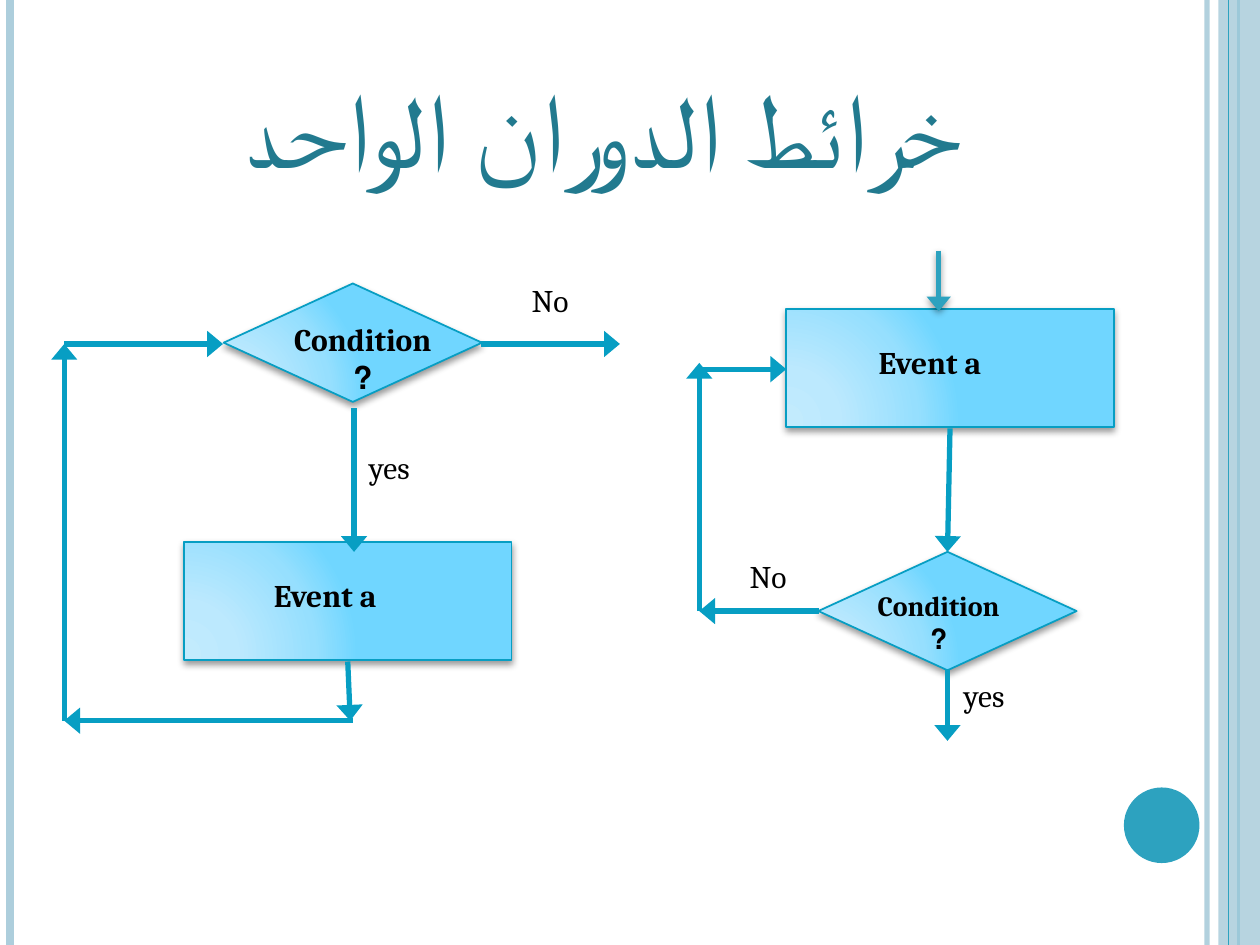
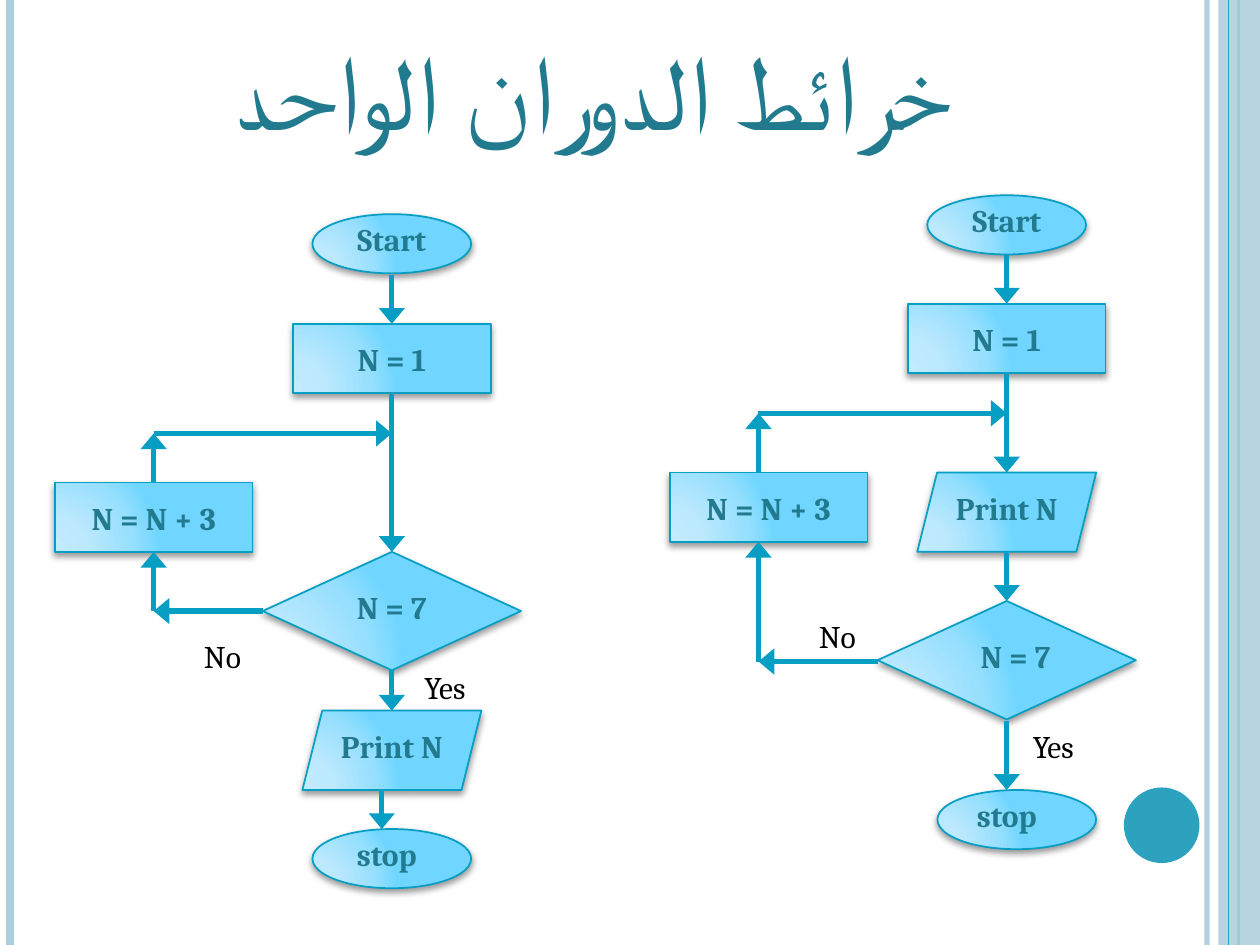
from dataclasses import dataclass

from pptx import Presentation
from pptx.dml.color import RGBColor
from pptx.enum.shapes import MSO_CONNECTOR, MSO_SHAPE
from pptx.enum.text import MSO_ANCHOR, PP_ALIGN
from pptx.oxml import parse_xml
from pptx.oxml.ns import nsdecls, qn
from pptx.oxml.xmlchemy import OxmlElement
from pptx.util import Inches, Pt

STRAIGHT = MSO_CONNECTOR.STRAIGHT
RECTANGLE, ELLIPSE = MSO_SHAPE.RECTANGLE, MSO_SHAPE.OVAL
DIAMOND, PARALLELOGRAM = MSO_SHAPE.DIAMOND, MSO_SHAPE.PARALLELOGRAM
LEFT, CENTER, RIGHT = PP_ALIGN.LEFT, PP_ALIGN.CENTER, PP_ALIGN.RIGHT
BOTTOM = MSO_ANCHOR.BOTTOM

COLORS = {
    "band": "ADCEDC",
    "accent": "2DA2BF",
    "flow": "079EC3",
    "title": "227A8F",
    "text": "000000",
}
NODE_GRADIENT = [(0, "C2EBFD"), (30, "BCE9FE"), (75, "96DFFE"), (100, "70D6FF")]
BODY_FONT, TITLE_FONT = "Cambria", "Roboto"
TITLE = "خرائط الدوران الواحد"
SLIDE_WIDTH, SLIDE_HEIGHT = 10, 7.5
CAPTION_WIDTH, CAPTION_HEIGHT = 1.57, 0.4


@dataclass(frozen=True)
class Kind:
    """Outline and size of a flowchart step, and how far down its caption starts."""
    outline: int
    width: float
    height: float
    caption_drop: float


TERMINAL = Kind(ELLIPSE, 1.26, 0.47, 0)
PROCESS = Kind(RECTANGLE, 1.57, 0.55, 0.08)
OUTPUT = Kind(PARALLELOGRAM, 1.42, 0.63, 0.08)
DECISION = Kind(DIAMOND, 2.05, 0.94, 0.24)
EVENT = Kind(RECTANGLE, 2.6, 0.94, 0.22)


@dataclass(frozen=True)
class Step:
    kind: Kind
    center: float
    top: float
    caption: str
    caption_shift: float = 0
    size: int = 18


@dataclass(frozen=True)
class Arrow:
    x1: float
    y1: float
    x2: float
    y2: float
    color: str = "flow"
    weight: float = 3
    shadow: bool = False


@dataclass(frozen=True)
class Answer:
    text: str
    left: float
    top: float
    width: float = 0.79
    align: PP_ALIGN = RIGHT


@dataclass(frozen=True)
class Flowchart:
    title_left: float
    title_top: float
    caption_color: str
    steps: list[Step]
    arrows: list[Arrow]
    answers: list[Answer]


LOOP_FORMS = Flowchart(
    0.5, 0.3, "text",
    steps=[
        Step(EVENT, 7.54, 2.45, "Event a", -0.16),
        Step(DECISION, 7.52, 4.38, "Condition\n?", -0.07, 16),
        Step(EVENT, 2.76, 4.3, "Event a", -0.18),
        Step(DECISION, 2.8, 2.25, "Condition\n?", 0.08),
    ],
    arrows=[
        Arrow(7.54, 3.4, 7.52, 4.38),
        Arrow(7.45, 1.99, 7.45, 2.47, "accent", 2.75, True),
        Arrow(7.52, 5.32, 7.52, 5.88),
        Arrow(5.53, 2.93, 6.24, 2.93),
        Arrow(5.55, 4.85, 5.55, 2.88),
        Arrow(6.5, 4.85, 5.55, 4.85),
        Arrow(0.51, 2.73, 1.77, 2.73),
        Arrow(0.51, 5.72, 0.51, 2.73),
        Arrow(2.8, 5.72, 0.51, 5.72),
        Arrow(2.81, 3.24, 2.81, 4.38),
        Arrow(2.76, 5.25, 2.78, 5.72),
        Arrow(3.82, 2.73, 4.92, 2.73),
    ],
    answers=[
        Answer("yes", 2.56, 3.51),
        Answer("yes", 7.28, 5.32),
        Answer("No", 3.82, 2.18),
        Answer("No", 5.55, 4.37),
    ],
)

COUNTING_LOOPS = Flowchart(
    0.42, 0, "title",
    steps=[
        Step(TERMINAL, 7.99, 1.55, "Start"),
        Step(PROCESS, 7.99, 2.41, "N = 1"),
        Step(OUTPUT, 7.99, 3.75, "Print N"),
        Step(DECISION, 7.99, 4.77, "N = 7", 0.07),
        Step(TERMINAL, 8.07, 6.27, "stop", -0.08),
        Step(PROCESS, 6.1, 3.75, "N = N + 3"),
        Step(TERMINAL, 3.11, 1.7, "Start"),
        Step(PROCESS, 3.11, 2.57, "N = 1"),
        Step(DECISION, 3.11, 4.38, "N = 7"),
        Step(OUTPUT, 3.11, 5.64, "Print N"),
        Step(TERMINAL, 3.11, 6.58, "stop", -0.04),
        Step(PROCESS, 1.22, 3.83, "N = N + 3"),
    ],
    arrows=[
        Arrow(7.99, 2.02, 7.99, 2.41),
        Arrow(7.99, 2.96, 7.99, 3.75),
        Arrow(7.99, 4.38, 7.99, 4.77),
        Arrow(7.99, 5.72, 7.99, 6.27),
        Arrow(6.97, 5.25, 6.02, 5.25),
        Arrow(6.02, 5.25, 6.02, 4.3),
        Arrow(6.02, 3.75, 6.02, 3.28),
        Arrow(6.02, 3.28, 7.99, 3.28),
        Arrow(3.11, 2.18, 3.11, 2.57),
        Arrow(3.11, 3.12, 3.11, 4.38),
        Arrow(3.11, 5.32, 3.11, 5.64),
        Arrow(3.03, 6.27, 3.03, 6.58),
        Arrow(2.09, 4.85, 1.22, 4.85),
        Arrow(1.22, 4.85, 1.22, 4.38),
        Arrow(1.22, 3.83, 1.22, 3.44),
        Arrow(1.22, 3.44, 3.11, 3.44),
    ],
    answers=[
        Answer("No", 6.1, 4.85),
        Answer("Yes", 7.83, 5.72),
        Answer("No", 1.22, 5.01),
        Answer("Yes", 3.27, 5.25, 0.63, LEFT),
    ],
)


def rgb(name: str) -> RGBColor:
    return RGBColor.from_string(COLORS[name])


def set_opacity(owner, percent: int) -> None:
    """Make the solid colour inside an XML element partly transparent."""
    alpha = OxmlElement("a:alpha")
    alpha.set("val", str(percent * 1000))
    owner.find(".//" + qn("a:srgbClr")).append(alpha)


def add_shadow(effects, blur: float, distance: float, opacity: int) -> None:
    effects.append(parse_xml(
        f'<a:outerShdw {nsdecls("a")} blurRad="{Pt(blur)}" dist="{Pt(distance)}" '
        f'dir="5400000" rotWithShape="0"><a:srgbClr val="{COLORS["text"]}">'
        f'<a:alpha val="{opacity * 1000}"/></a:srgbClr></a:outerShdw>'))


def add_line(slide, x1: float, y1: float, x2: float, y2: float, color: str, weight: float):
    line = slide.shapes.add_connector(STRAIGHT, Inches(x1), Inches(y1), Inches(x2), Inches(y2))
    line.line.color.rgb = rgb(color)
    line.line.width = Pt(weight)
    line._element.spPr.append(OxmlElement("a:effectLst"))
    return line


def add_shape(slide, outline: int, left: float, top: float, width: float, height: float):
    shape = slide.shapes.add_shape(
        outline, Inches(left), Inches(top), Inches(width), Inches(height))
    shape.shadow.inherit = False
    return shape


def add_text(slide, text: str, left: float, top: float, width: float, height: float,
             color: str, size: int = 18, bold: bool = False, align: PP_ALIGN = CENTER,
             font: str = BODY_FONT):
    frame = slide.shapes.add_textbox(
        Inches(left), Inches(top), Inches(width), Inches(height)).text_frame
    frame.word_wrap = True
    frame.text = text
    for paragraph in frame.paragraphs:
        paragraph.alignment = align
        if align != LEFT:
            paragraph._p.get_or_add_pPr().set("rtl", "1")
        paragraph.font.name = font
        paragraph.font.size = Pt(size)
        paragraph.font.bold = bold
        paragraph.font.color.rgb = rgb(color)
    return frame


def add_frame(slide) -> None:
    """Draw the side bands and the disc that every slide carries."""
    inner_line = add_line(slide, 9.58, 0, 9.58, SLIDE_HEIGHT, "band", 3)
    set_opacity(inner_line._element.spPr, 93)
    add_line(slide, 0.08, 0, 0.08, SLIDE_HEIGHT, "band", 4.5)
    add_line(slide, 9.83, 0, 9.83, SLIDE_HEIGHT, "accent", 1.5)
    band = add_shape(slide, RECTANGLE, 9.67, 0, 0.33, SLIDE_HEIGHT)
    disc = add_shape(slide, ELLIPSE, 8.92, 6.25, 0.6, 0.6)
    for shape, color in ((band, "band"), (disc, "accent")):
        shape.fill.solid()
        shape.fill.fore_color.rgb = rgb(color)
        shape.line.fill.background()
    set_opacity(band._element.spPr, 87)
    add_line(slide, 9.75, 0, 9.75, SLIDE_HEIGHT, "accent", 0.75)


def add_step(slide, step: Step, caption_color: str) -> None:
    kind = step.kind
    shape = add_shape(slide, kind.outline, step.center - kind.width / 2, step.top,
                      kind.width, kind.height)
    shape.line.color.rgb = rgb("flow")
    shape.line.width = Pt(1)
    shape.fill.background()
    properties = shape._element.spPr
    stops = "".join(f'<a:gs pos="{position * 1000}"><a:srgbClr val="{color}"/></a:gs>'
                    for position, color in NODE_GRADIENT)
    properties.replace(properties.find(qn("a:noFill")), parse_xml(
        f'<a:gradFill {nsdecls("a")} rotWithShape="1"><a:gsLst>{stops}</a:gsLst>'
        '<a:path path="circle"><a:fillToRect l="5000" t="100000" r="120000" b="10000"/>'
        '</a:path></a:gradFill>'))
    add_shadow(properties.find(qn("a:effectLst")), 4, 2, 40)
    add_text(slide, step.caption, step.center + step.caption_shift - CAPTION_WIDTH / 2,
             step.top + kind.caption_drop, CAPTION_WIDTH, CAPTION_HEIGHT,
             caption_color, step.size, bold=True)


def add_arrow(slide, arrow: Arrow) -> None:
    line = add_line(slide, arrow.x1, arrow.y1, arrow.x2, arrow.y2, arrow.color, arrow.weight)
    line.line._get_or_add_ln().append(parse_xml(
        f'<a:tailEnd {nsdecls("a")} type="triangle" w="lg" len="med"/>'))
    if arrow.shadow:
        add_shadow(line._element.spPr.find(qn("a:effectLst")), 4, 1.6, 42)


def add_flowchart_slide(presentation, chart: Flowchart) -> None:
    slide = presentation.slides.add_slide(presentation.slide_layouts[6])
    add_frame(slide)
    for step in chart.steps:
        add_step(slide, step, chart.caption_color)
    for arrow in chart.arrows:
        add_arrow(slide, arrow)
    for answer in chart.answers:
        add_text(slide, answer.text, answer.left, answer.top, answer.width,
                 CAPTION_HEIGHT, "text", align=answer.align)
    title = add_text(slide, TITLE, chart.title_left, chart.title_top, 8.17, 1.25,
                     "title", 60, font=TITLE_FONT)
    title.vertical_anchor = BOTTOM
    title.margin_left = Inches(0.5)


def main() -> None:
    presentation = Presentation()
    presentation.slide_width = Inches(SLIDE_WIDTH)
    presentation.slide_height = Inches(SLIDE_HEIGHT)
    for chart in (LOOP_FORMS, COUNTING_LOOPS):
        add_flowchart_slide(presentation, chart)
    presentation.save("out.pptx")


if __name__ == "__main__":
    main()
